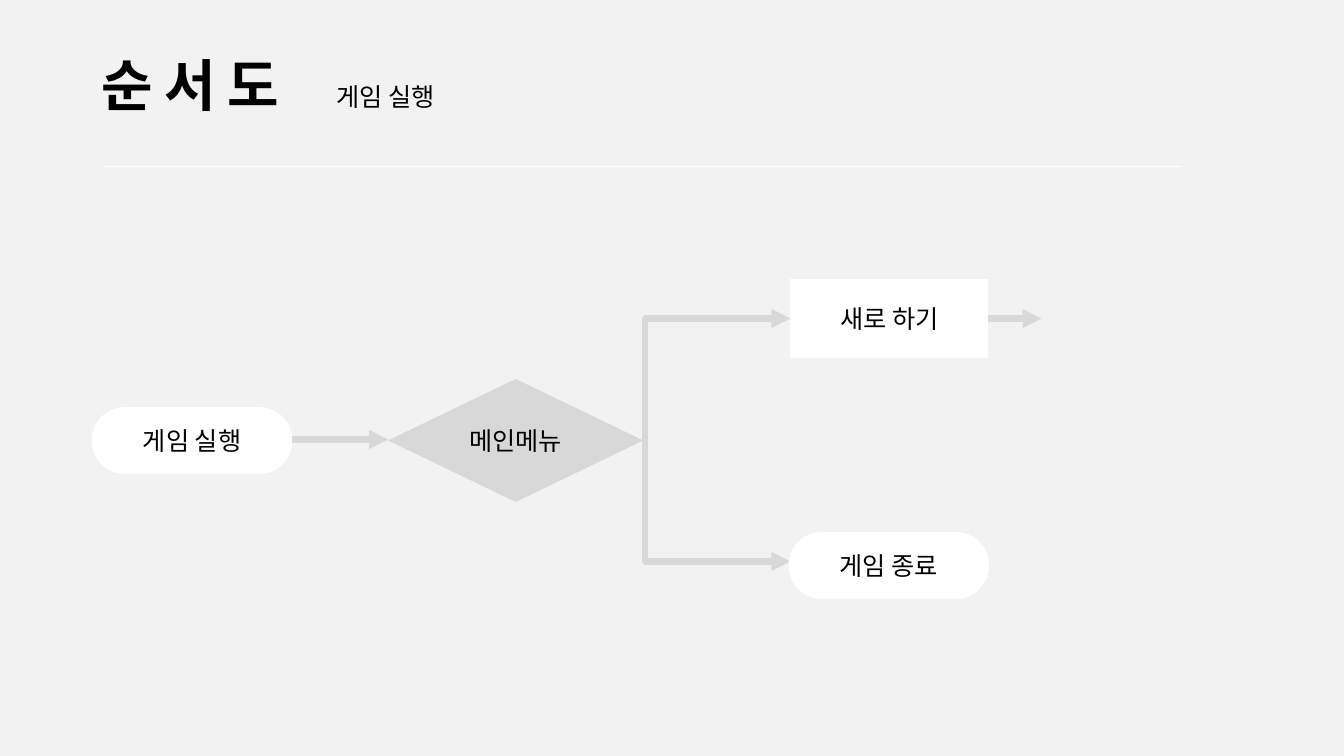
from pptx import Presentation
from pptx.dml.color import RGBColor
from pptx.enum.shapes import MSO_CONNECTOR, MSO_SHAPE
from pptx.enum.text import MSO_ANCHOR, PP_ALIGN
from pptx.oxml.ns import qn
from pptx.util import Inches, Pt
from lxml.etree import SubElement

FONT = "Noto Sans CJK KR"
PALE, WHITE, GREY, BLACK = "F2F2F2", "FFFFFF", "D8D8D8", "000000"


def color(fmt, value):
    fmt.rgb = RGBColor.from_string(value)


def write(tf, text, size=18, font=FONT, bold=False, spacing=0,
          align=PP_ALIGN.LEFT, anchor=MSO_ANCHOR.TOP):
    tf.word_wrap = True
    tf.vertical_anchor = anchor
    p = tf.paragraphs[0]
    p.alignment = align
    r = p.add_run()
    r.text = text
    r.font.size, r.font.bold, r.font.name = Pt(size), bold, font
    color(r.font.color, BLACK)
    rpr = r._r.get_or_add_rPr()
    if spacing:
        rpr.set("spc", str(round(spacing * 100)))
    SubElement(rpr, qn("a:ea")).set("typeface", FONT)


def add_text(s, x, y, w, h, text, **fmt):
    box = s.shapes.add_textbox(Inches(x), Inches(y), Inches(w), Inches(h))
    write(box.text_frame, text, **fmt)


def add_node(s, kind, x, y, w, h, fill, text=None, **fmt):
    sp = s.shapes.add_shape(kind, Inches(x), Inches(y), Inches(w), Inches(h))
    sp.shadow.inherit = False
    sp.fill.solid()
    color(sp.fill.fore_color, fill)
    sp.line.fill.background()
    if text:
        write(sp.text_frame, text, align=PP_ALIGN.CENTER,
              anchor=MSO_ANCHOR.MIDDLE, **fmt)


def add_line(s, x1, y1, x2, y2, line=GREY, width=4.5, arrow=True, bend=None):
    kind = MSO_CONNECTOR.STRAIGHT if bend is None else MSO_CONNECTOR.ELBOW
    c = s.shapes.add_connector(kind, Inches(x1), Inches(y1), Inches(x2), Inches(y2))
    c.line.width = Pt(width)
    color(c.line.color, line)
    sppr = c._element.spPr
    if arrow:
        SubElement(c.line._get_or_add_ln(), qn("a:tailEnd")).set("type", "triangle")
    SubElement(sppr, qn("a:effectLst"))
    if bend is not None:
        # Distance of the bend from the start, as a share of the width
        geom = sppr.find(qn("a:prstGeom"))
        av = geom.find(qn("a:avLst"))
        if av is None:
            av = SubElement(geom, qn("a:avLst"))
        gd = SubElement(av, qn("a:gd"))
        gd.set("name", "adj1")
        gd.set("fmla", f"val {round(bend / (x2 - x1) * 100000)}")


def header(s, x, y, w, h):
    add_text(s, x, y, 6.93, 0.77, "순서도", size=40, bold=True, spacing=8.1)
    add_text(s, x + 2.33, y + 0.31, 3.97, 0.4, "게임 실행")
    add_line(s, x + 0.11, y + h, x + w, y + h, line=WHITE, width=1, arrow=False)


def flowchart(s, x, y, w, h):
    end_w, end_h = 1.99, 0.66
    menu_x, menu_w, menu_h = x + 2.94, 2.53, 1.22
    menu_right = menu_x + menu_w
    option_x, new_w, new_h = x + 6.93, 1.96, 0.79
    top, middle, bottom = y + 0.4, y + 1.6, y + 2.81

    # Start and main menu
    add_node(s, MSO_SHAPE.FLOWCHART_TERMINATOR, x, middle - end_h / 2 + 0.01,
             end_w, end_h, WHITE, "게임 실행")
    add_node(s, MSO_SHAPE.FLOWCHART_DECISION, menu_x, middle - menu_h / 2 + 0.01,
             menu_w, menu_h, GREY, "메인메뉴")
    add_line(s, x + end_w, middle, menu_x, middle)

    # New game and the two branches
    add_node(s, MSO_SHAPE.FLOWCHART_PROCESS, option_x, top - new_h / 2,
             new_w, new_h, WHITE, "새로 하기", font="Calibri")
    add_line(s, menu_right, middle, option_x, bottom, bend=0.02)
    add_line(s, menu_right, middle, option_x, top, bend=0.02)
    add_line(s, option_x + new_w, top, x + w, top)

    # Quit
    add_node(s, MSO_SHAPE.FLOWCHART_TERMINATOR, option_x - 0.02, y + h - end_h,
             end_w, end_h, WHITE, "게임 종료")


prs = Presentation()
prs.slide_width, prs.slide_height = Inches(13.33), Inches(7.5)
s = prs.slides.add_slide(prs.slide_layouts[6])
add_node(s, MSO_SHAPE.RECTANGLE, 0, 0, 13.33, 7.5, PALE)
header(s, 0.91, 0.45, 10.81, 1.2)
flowchart(s, 0.91, 2.76, 9.42, 3.18)
prs.save("out.pptx")
